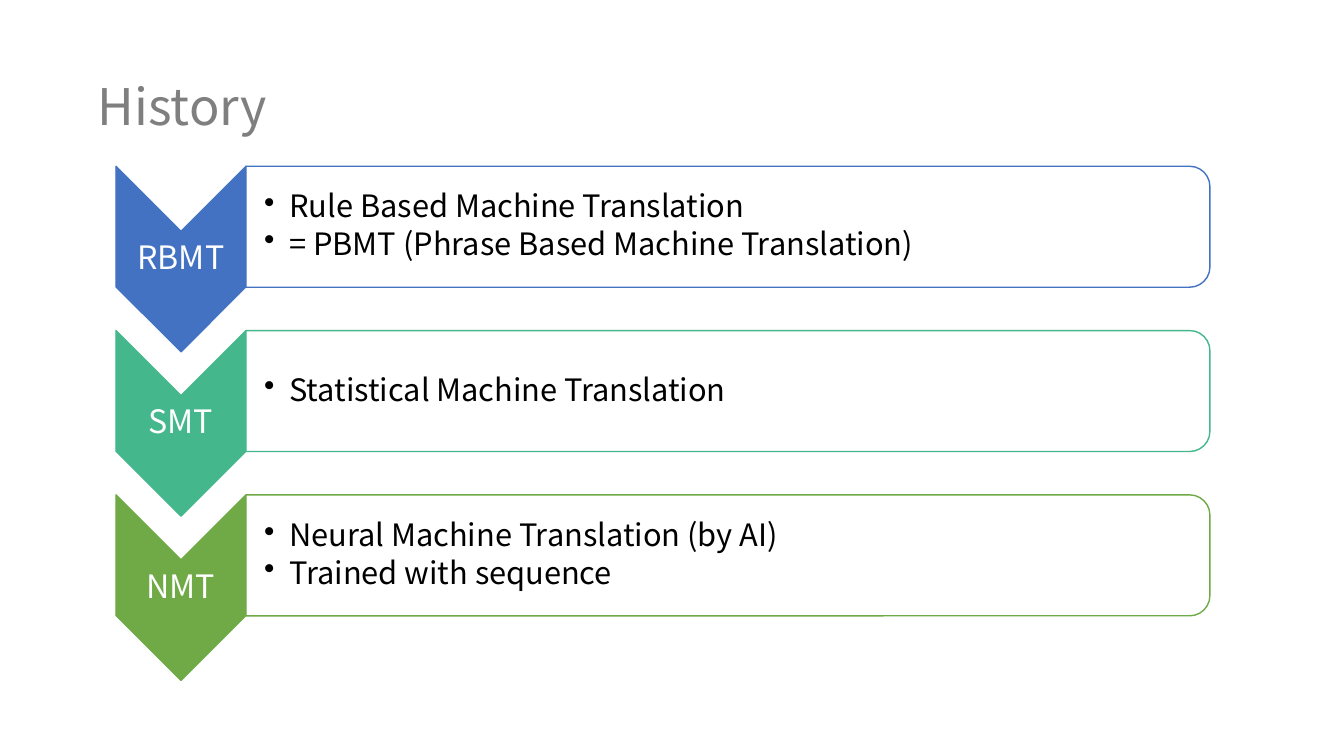
from dataclasses import dataclass

from lxml.etree import SubElement
from pptx import Presentation
from pptx.dml.color import RGBColor
from pptx.enum.shapes import MSO_SHAPE
from pptx.enum.text import MSO_ANCHOR, PP_ALIGN
from pptx.oxml.ns import qn
from pptx.util import Pt

SCALE = 9144


@dataclass(frozen=True)
class Theme:
    face: str = "Noto Sans CJK KR"
    title: str = "7F7F7F"
    ink: str = "000000"
    paper: str = "FFFFFF"
    big: int = 36
    label: int = 23
    body: int = 22


THEME = Theme()
STAGES = [
    ("RBMT", "4372C3", ["Rule Based Machine Translation",
                        "= PBMT (Phrase Based Machine Translation)"]),
    ("SMT", "44B78C", ["Statistical Machine Translation"]),
    ("NMT", "6FAA47", ["Neural Machine Translation (by AI)",
                       "Trained with sequence"]),
]


def px(num):
    return int(num * SCALE)


def apply(target, values):
    for name, value in values.items():
        setattr(target, name, value)


def add_bullet(para):
    props = para._p.get_or_add_pPr()
    props.set("marL", str(px(25)))
    props.set("indent", str(px(-25)))
    color = SubElement(props, qn("a:buClr"))
    SubElement(color, qn("a:srgbClr"), val=THEME.ink)
    SubElement(props, qn("a:buChar"), char="•")


def add_text(slide, box, lines, size, color, inset=2, align=PP_ALIGN.LEFT, bullet=False):
    frame = slide.shapes.add_textbox(*map(px, box)).text_frame
    apply(frame, {"word_wrap": True, "vertical_anchor": MSO_ANCHOR.MIDDLE})
    apply(frame, {f"margin_{side}": px(inset) for side in ("left", "top", "right", "bottom")})
    for index, line in enumerate(lines):
        para = frame.add_paragraph() if index else frame.paragraphs[0]
        apply(para, {"text": line, "alignment": align, "line_spacing": 0.9})
        if index:
            para.space_before = Pt(3)
        if bullet:
            para.level = 1
            add_bullet(para)
        font = para.runs[0].font
        apply(font, {"name": THEME.face, "size": Pt(size)})
        font.color.rgb = RGBColor.from_string(color)


def add_turned(slide, kind, box, fill, line):
    left, top, wide, high = box
    shift = (wide - high) / 2
    shape = slide.shapes.add_shape(kind, *map(px, (left + shift, top - shift, high, wide)))
    apply(shape, {"rotation": 90})
    shape.shadow.inherit = False
    shape.fill.solid()
    shape.fill.fore_color.rgb = RGBColor.from_string(fill)
    shape.line.color.rgb = RGBColor.from_string(line)
    shape.line.width = Pt(1)
    return shape


def add_arrow(slide, box, label, color):
    left, top, wide, high = box
    shape = add_turned(slide, MSO_SHAPE.CHEVRON, box, color, color)
    shape.adjustments[0] = 0.5
    mid = top + high // 2
    add_text(slide, (left, mid - 21, wide, 42), [label], THEME.label, THEME.paper,
             align=PP_ALIGN.CENTER)


def add_card(slide, box, lines, color):
    left, top, wide, high = box
    shape = add_turned(slide, MSO_SHAPE.ROUND_2_SAME_RECTANGLE, box, THEME.paper, color)
    tint = shape.fill._xPr.find(qn("a:solidFill"))[0]
    SubElement(tint, qn("a:alpha"), val="90000")
    tall = 38 * len(lines)
    add_text(slide, (left + 16, top + (high - tall) // 2, wide - 21, tall), lines,
             THEME.body, THEME.ink, bullet=True)


def add_stage(slide, box, label, color, lines):
    left, top, wide, high = box
    arrow = 129
    add_arrow(slide, (left, top, arrow, high), label, color)
    add_card(slide, (left + arrow, top, wide - arrow, 120), lines, color)


def add_history(slide, box):
    left, top, wide, high = box
    tall = 184
    pitch = (high - tall) // (len(STAGES) - 1)
    for index, stage in enumerate(STAGES):
        add_stage(slide, (left, top + index * pitch, wide, tall), *stage)


def main():
    deck = Presentation()
    apply(deck, {"slide_width": px(1333), "slide_height": px(750)})
    slide = deck.slides.add_slide(deck.slide_layouts[6])
    add_text(slide, (92, 52, 1150, 112), ["History"], THEME.big, THEME.title, inset=5)
    add_history(slide, (115, 165, 1085, 510))
    deck.save("out.pptx")


if __name__ == "__main__":
    main()
